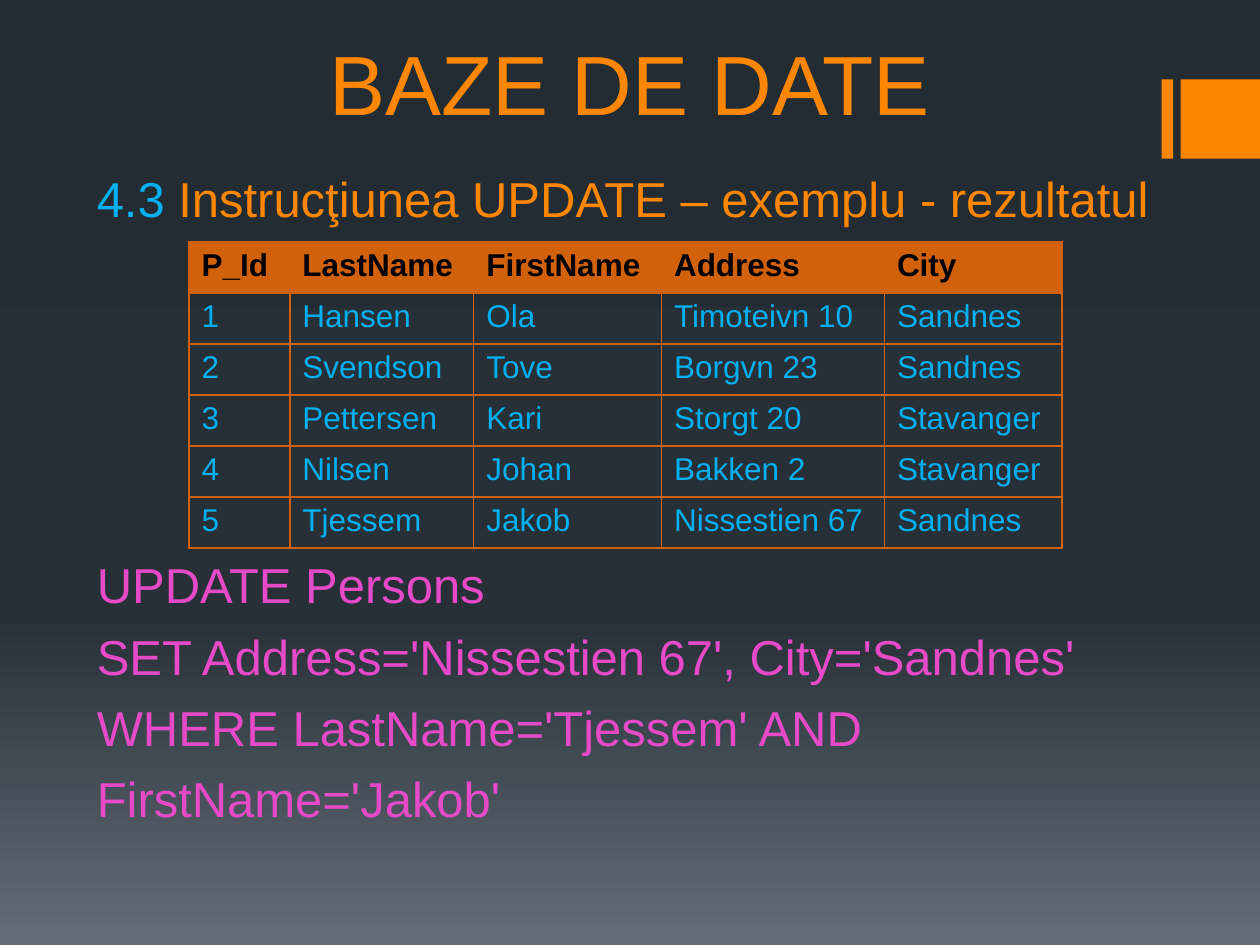
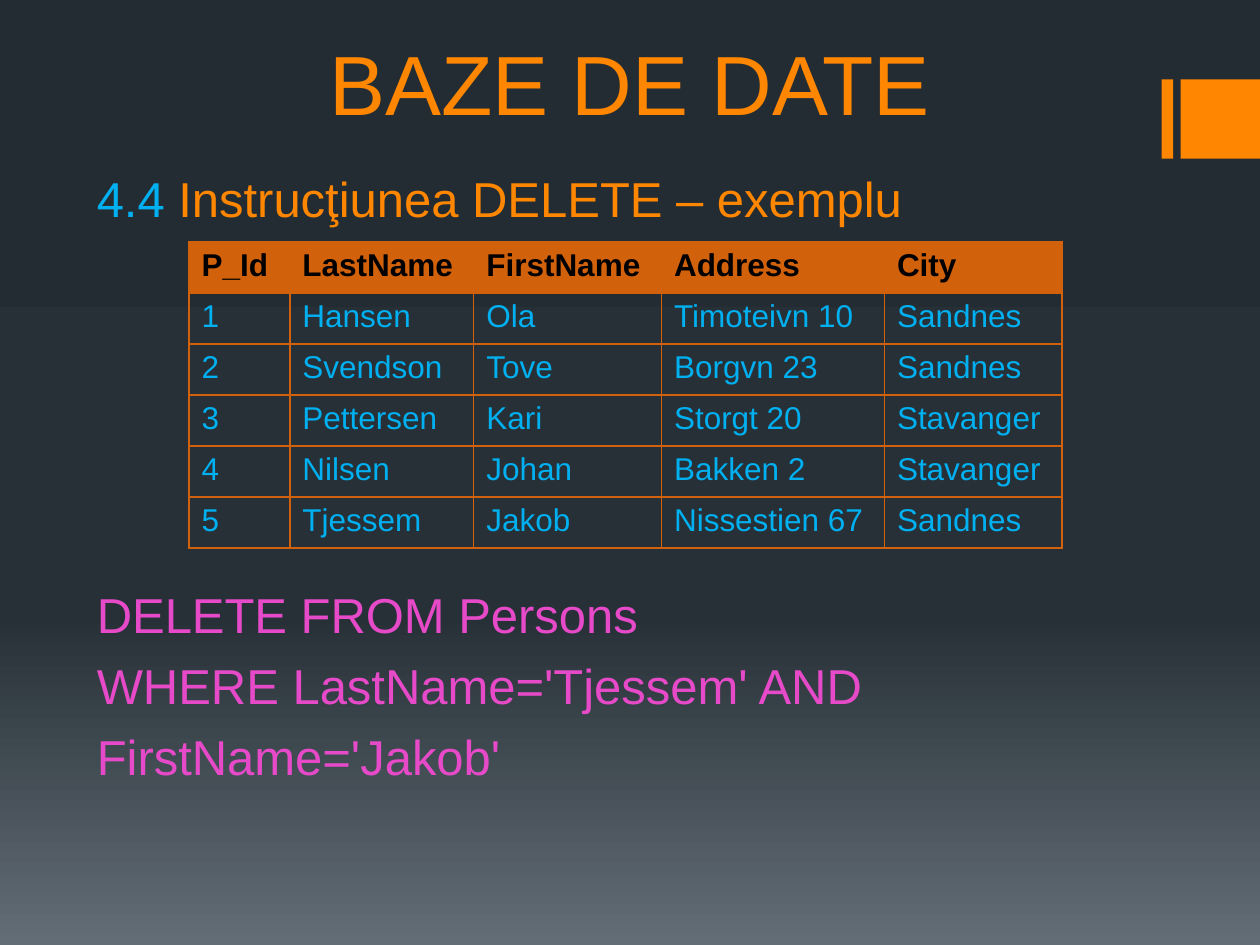
import lxml.etree
import pptx
import pptx.dml.color
import pptx.enum.shapes
import pptx.enum.text
import pptx.oxml.ns
import pptx.util

Inches = pptx.util.Inches
Pt = pptx.util.Pt
qn = pptx.oxml.ns.qn
ALIGN = pptx.enum.text.PP_ALIGN

COLORS = {
    "orange": "FF8600",
    "cyan": "00B0F0",
    "magenta": "E74AC9",
    "rust": "D2610C",
    "black": "000000",
}
BACKGROUND_STOPS = [(0, "242C33"), (65, "273037"), (100, "636D76")]
FONT = "Arial"
COLUMN_WIDTHS = [0.8, 1.46, 1.49, 1.77, 1.41]
ROW_HEIGHT = 0.405
PERSONS = [
    ("P_Id", "LastName", "FirstName", "Address", "City"),
    ("1", "Hansen", "Ola", "Timoteivn 10", "Sandnes"),
    ("2", "Svendson", "Tove", "Borgvn 23", "Sandnes"),
    ("3", "Pettersen", "Kari", "Storgt 20", "Stavanger"),
    ("4", "Nilsen", "Johan", "Bakken 2", "Stavanger"),
    ("5", "Tjessem", "Jakob", "Nissestien 67", "Sandnes"),
]


def rgb(name):
    return pptx.dml.color.RGBColor.from_string(COLORS[name])


def set_font(font, size, color, bold=False):
    font.name = FONT
    font.size = Pt(size)
    font.bold = bold
    font.color.rgb = rgb(color)


def set_background(master):
    fill = master.background.fill
    fill.gradient()
    fill.gradient_angle = 270
    stops = master.element.xpath(".//p:bg//a:gsLst")[0]
    for stop in list(stops):
        stops.remove(stop)
    for percent, color in BACKGROUND_STOPS:
        stop = lxml.etree.SubElement(stops, qn("a:gs"), pos=str(percent * 1000))
        lxml.etree.SubElement(stop, qn("a:srgbClr"), val=color)


def add_bands(slide):
    for left, width in [(9.22, 0.09), (9.37, 0.63)]:
        band = slide.shapes.add_shape(
            pptx.enum.shapes.MSO_SHAPE.RECTANGLE,
            Inches(left), Inches(0.63), Inches(width), Inches(0.63))
        band.shadow.inherit = False
        band.fill.solid()
        band.fill.fore_color.rgb = rgb("orange")
        band.line.fill.background()


def add_text_frame(slide, left, top, width, height):
    box = slide.shapes.add_textbox(
        Inches(left), Inches(top), Inches(width), Inches(height))
    box.text_frame.word_wrap = True
    return box.text_frame


def add_title(slide, text):
    frame = add_text_frame(slide, 0.75, 0, 8.5, 1.09)
    frame.vertical_anchor = pptx.enum.text.MSO_ANCHOR.BOTTOM
    frame.margin_bottom = Inches(0.04)
    title = frame.paragraphs[0]
    title.text = text
    title.alignment = ALIGN.CENTER
    set_font(title.font, 48, "orange")


def add_body(slide, number, heading, statement, table_gap):
    frame = add_text_frame(slide, 0.67, 1.25, 8.67, 5.58)
    frame.margin_top = Inches(0.09)
    heading_line = frame.paragraphs[0]
    heading_line.alignment = ALIGN.JUSTIFY
    for text, color in [(number + " ", "cyan"), (heading, "orange")]:
        run = heading_line.add_run()
        run.text = text
        set_font(run.font, 28, color)
    for index, text in enumerate(statement):
        line = frame.add_paragraph()
        line.text = text
        line.alignment = ALIGN.JUSTIFY
        line.space_before = Pt(7 if index else table_gap)
        set_font(line.font, 28, "magenta")


def set_borders(cell):
    properties = cell._tc.get_or_add_tcPr()
    for index, side in enumerate(("a:lnL", "a:lnR", "a:lnT", "a:lnB")):
        border = lxml.etree.Element(qn(side), w=str(Pt(1)))
        fill = lxml.etree.SubElement(border, qn("a:solidFill"))
        lxml.etree.SubElement(fill, qn("a:srgbClr"), val=COLORS["rust"])
        properties.insert(index, border)


def add_persons_table(slide):
    table = slide.shapes.add_table(
        len(PERSONS), len(COLUMN_WIDTHS), Inches(1.5), Inches(1.92),
        Inches(sum(COLUMN_WIDTHS)), Inches(ROW_HEIGHT * len(PERSONS))).table
    table.horz_banding = False
    for column, width in zip(table.columns, COLUMN_WIDTHS):
        column.width = Inches(width)
    for row_index, person in enumerate(PERSONS):
        table.rows[row_index].height = Inches(ROW_HEIGHT)
        is_header = row_index == 0
        for column_index, value in enumerate(person):
            cell = table.cell(row_index, column_index)
            cell.text = value
            set_font(cell.text_frame.paragraphs[0].font, 18,
                     "black" if is_header else "cyan", is_header)
            if is_header:
                cell.fill.solid()
                cell.fill.fore_color.rgb = rgb("rust")
            else:
                cell.fill.background()
            set_borders(cell)


def add_example(prs, number, heading, statement, table_gap):
    slide = prs.slides.add_slide(prs.slide_layouts[6])
    add_bands(slide)
    add_title(slide, "BAZE DE DATE")
    add_body(slide, number, heading, statement, table_gap)
    add_persons_table(slide)


def main():
    prs = pptx.Presentation()
    prs.slide_width = Inches(10)
    prs.slide_height = Inches(7.5)
    set_background(prs.slide_master)
    condition = ["WHERE LastName='Tjessem' AND", "FirstName='Jakob'"]
    add_example(
        prs, "4.3", "Instrucţiunea UPDATE – exemplu - rezultatul",
        ["UPDATE Persons", "SET Address='Nissestien 67', City='Sandnes'"] + condition,
        187)
    add_example(
        prs, "4.4", "Instrucţiunea DELETE – exemplu",
        ["DELETE FROM Persons"] + condition, 204)
    prs.save("out.pptx")


if __name__ == "__main__":
    main()
